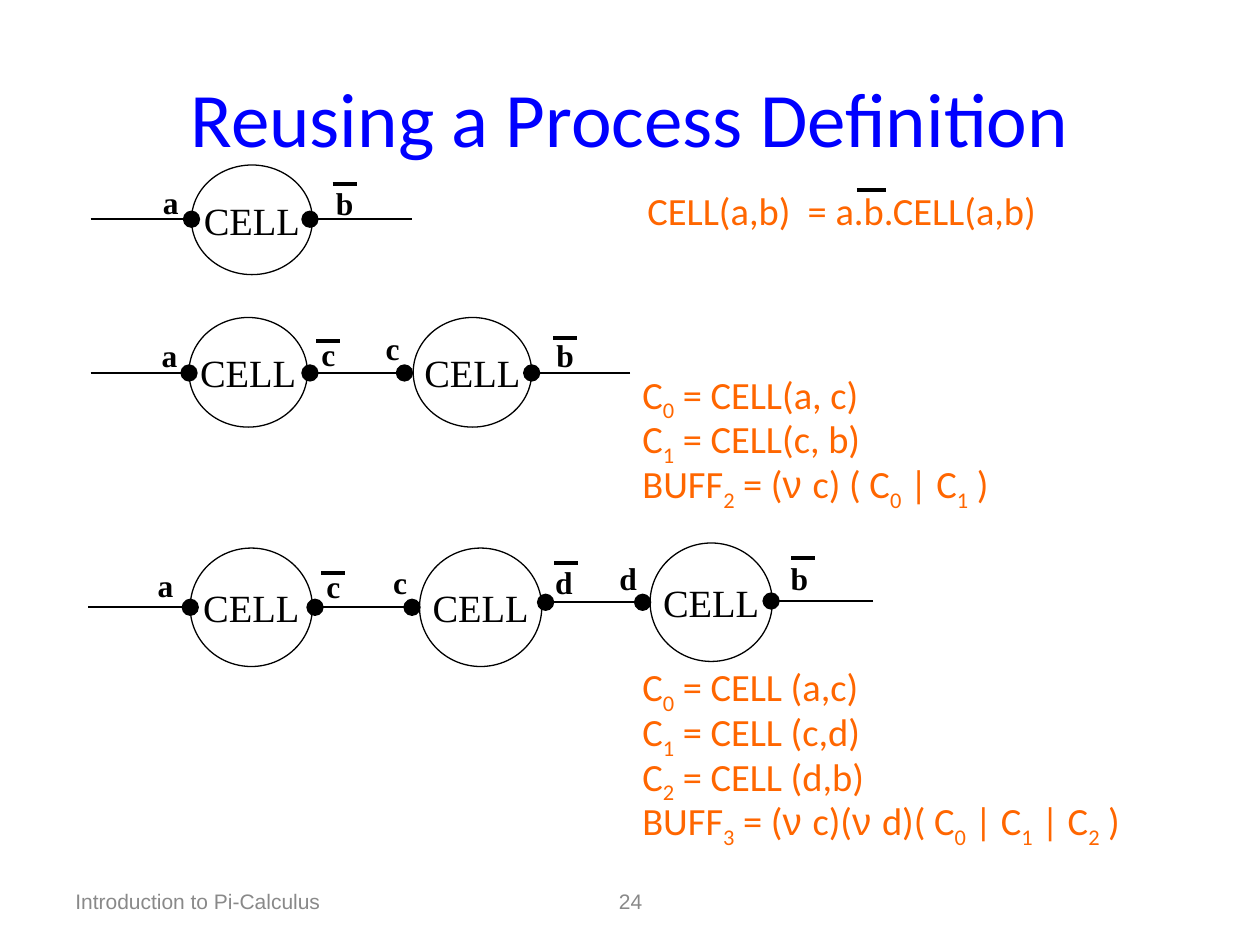
"""Build the slide on reusing a process definition in the pi-calculus."""
import pptx
import pptx.util
import pptx.dml.color
import pptx.enum.shapes
import pptx.enum.text
from lxml import etree
from pptx.oxml.ns import qn

Inches = pptx.util.Inches
Pt = pptx.util.Pt
ALIGN = pptx.enum.text.PP_ALIGN
COLORS = {"title": "0000FF", "ink": "000000", "rule": "FF6600", "foot": "898989"}
SERIF = "Times New Roman"
TITLE = "Reusing a Process Definition"

# Cells: left, top. Wires: from x, to x, y, ends with dots.
# Ports: name, left, top, then left and top of the overbar if any.
CHAINS = [
    {"size": (0.94, 0.87),
     "cells": [(1.5, 2.52), (3.28, 2.52)],
     "wires": [(0.72, 1.5, 2.96, ["tail"]), (3.21, 2.46, 2.96, ["head", "tail"]),
               (5, 4.22, 2.96, ["tail"])],
     "ports": [("a", 1.16, 2.57), ("c", 2.43, 2.56, 2.51, 2.71),
               ("c", 2.94, 2.51), ("b", 4.29, 2.57, 4.39, 2.68)]},
    {"size": (0.96, 0.87),
     "cells": [(1.52, 1.31)],
     "wires": [(0.72, 1.52, 1.74, ["tail"]), (3.27, 2.46, 1.74, ["tail"])],
     "ports": [("a", 1.17, 1.35), ("b", 2.54, 1.36, 2.64, 1.46)]},
    {"size": (0.97, 0.94),
     "cells": [(1.51, 4.35), (3.33, 4.35), (5.16, 4.31)],
     "wires": [(0.7, 1.51, 4.82, ["tail"]), (3.27, 2.5, 4.82, ["head", "tail"]),
               (5.1, 4.33, 4.78, ["head", "tail"]), (6.93, 6.12, 4.77, ["tail"])],
     "ports": [("a", 1.13, 4.39), ("c", 2.47, 4.4, 2.55, 4.55), ("c", 3, 4.37),
               ("d", 4.28, 4.37, 4.4, 4.47), ("d", 4.79, 4.34),
               ("b", 6.15, 4.34, 6.28, 4.43)]},
]
WIDTHS = {"a": 0.37, "b": 0.39, "c": 0.35, "d": 0.39}
RULES = [
    ((5.04, 1.43, 3.33, 0.47), ["CELL(a,b)  = a.b.CELL(a,b)"], 1),
    ((5, 2.97, 3.09, 1.05),
     ["C_0 = CELL(a, c)", "C_1 = CELL(c, b)", "BUFF_2 = (ν c) ( C_0 | C_1 )"], 0.85),
    ((5, 5.31, 4.14, 1.37),
     ["C_0 = CELL (a,c)", "C_1 = CELL (c,d)", "C_2 = CELL (d,b)",
      "BUFF_3 = (ν c)(ν d)( C_0 | C_1 | C_2 )"], 0.85),
]
FEET = [((0.5, 6.95, 2.33, 0.4), "Introduction to Pi-Calculus", ALIGN.LEFT),
        ((3.42, 6.95, 3.17, 0.4), "24", ALIGN.CENTER)]


def tint(name):
    return pptx.dml.color.RGBColor.from_string(COLORS[name])


def split(text):
    """Yield (piece, is_sub, is_greek); an underscore lowers the next letter."""
    for i, part in enumerate(text.split("_")):
        if i:
            yield part[0], True, False
            part = part[1:]
        for j, bit in enumerate(part.split("ν ")):
            if j:
                yield "ν ", False, True
            if bit:
                yield bit, False, False


def write(shape, lines, font="Calibri", size=22, color="ink", bold=False,
          align=ALIGN.CENTER, space=1, wrap=False):
    frame = shape.text_frame
    frame.word_wrap = wrap
    frame.auto_size = pptx.enum.text.MSO_AUTO_SIZE.NONE
    frame.vertical_anchor = pptx.enum.text.MSO_ANCHOR.MIDDLE
    for i, line in enumerate(lines):
        para = frame.add_paragraph() if i else frame.paragraphs[0]
        para.alignment, para.line_spacing = align, space
        for piece, sub, greek in split(line):
            run = para.add_run()
            run.text = piece
            run.font.name = "Arial" if greek else font
            run.font.size, run.font.bold = Pt(size), bold
            run.font.color.rgb = tint(color)
            if sub:
                run.font._element.set("baseline", "-25000")


def place(home, box, lines, **form):
    write(home.add_textbox(*map(Inches, box)), lines, **form)


def stroke(home, left, right, y, width, dots=()):
    line = home.add_connector(pptx.enum.shapes.MSO_CONNECTOR.STRAIGHT,
                              *map(Inches, (left, y, right, y)))
    line.line.color.rgb = tint("ink")
    line.line.width = Pt(width)
    for end in dots:
        etree.SubElement(line.line._get_or_add_ln(), qn(f"a:{end}End"),
                         type="oval", w="lg", len="lg")
    etree.SubElement(line._element.spPr, qn("a:effectLst"))


def chain(home, data):
    for spot in data["cells"]:
        cell = home.add_shape(pptx.enum.shapes.MSO_SHAPE.OVAL,
                              *map(Inches, spot + data["size"]))
        cell.shadow.inherit = False
        cell.fill.background()
        cell.line.color.rgb = tint("ink")
        cell.line.width = Pt(0.75)
        write(cell, ["CELL"], font=SERIF)
    for left, right, y, dots in data["wires"]:
        stroke(home, left, right, y, 1, dots)
    for name, left, top, *bar in data["ports"]:
        place(home, (left, top, WIDTHS[name], 0.5), [name],
              font=SERIF, size=18, bold=True)
        if bar:
            stroke(home, bar[0], bar[0] + 0.19, bar[1], 2.25)


def main():
    deck = pptx.Presentation()
    deck.slide_width, deck.slide_height = Inches(10), Inches(7.5)
    slide = deck.slides.add_slide(deck.slide_layouts[5])
    shapes = slide.shapes
    title = shapes.title
    title.left, title.top, title.width, title.height = map(Inches, (0.5, 0.3, 9, 1.25))
    write(title, [TITLE], size=44, color="title", wrap=True)
    for box, text, align in FEET:
        place(shapes, box, [text], font="Arial", size=12, color="foot",
              align=align, wrap=True)
    for data in CHAINS:
        chain(shapes.add_group_shape().shapes, data)
    for box, lines, space in RULES:
        place(shapes, box, lines, color="rule", align=ALIGN.LEFT, space=space)
    stroke(shapes, 6.8, 7.03, 1.51, 2.25)
    deck.save("out.pptx")


if __name__ == "__main__":
    main()
